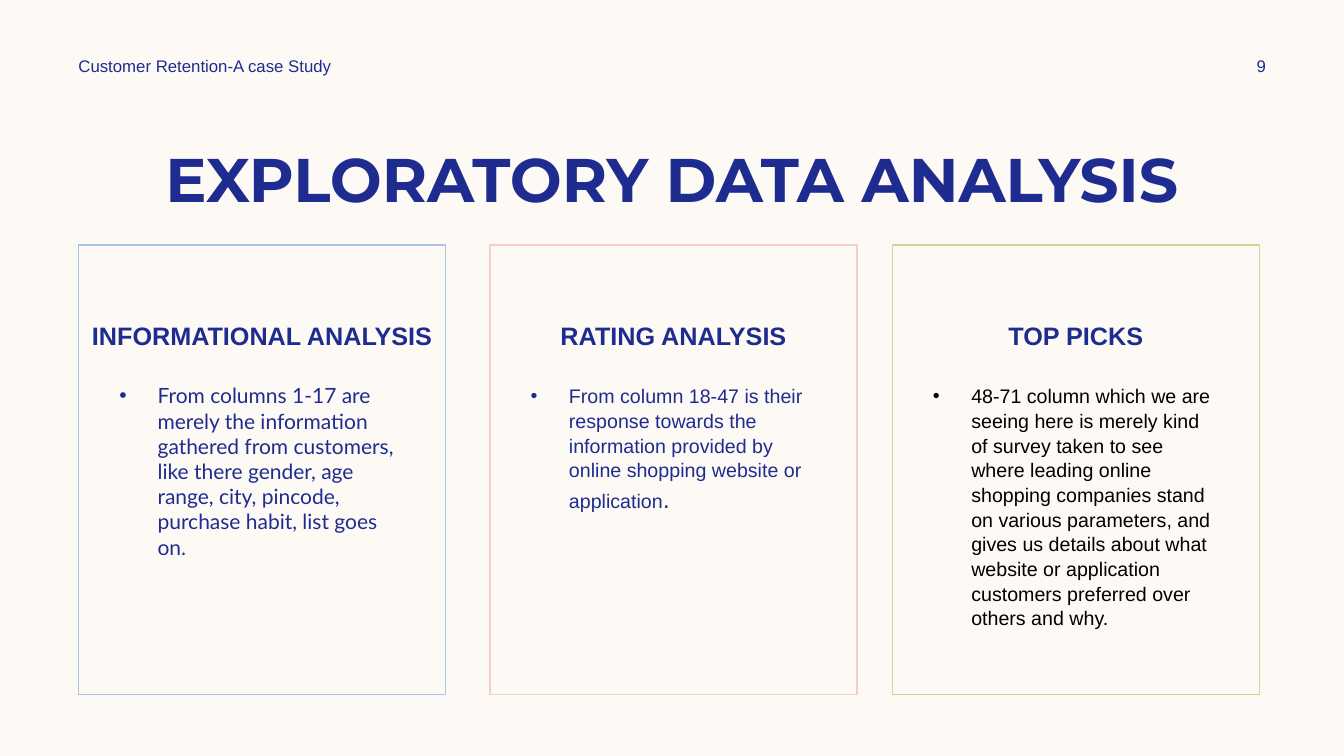
import pptx
import pptx.dml.color
import pptx.enum.shapes
import pptx.enum.text
import pptx.oxml
import pptx.util
from pptx.util import Inches

# Content
COLORS = {"background": "FDFAF6", "navy": "1F2C8F", "black": "000000",
          "blue": "AAC3E8", "pink": "F5CDCE", "olive": "D2D592"}
TITLE = "EXPLORATORY DATA ANALYSIS"
HEADER = "Customer Retention-A case Study"
PAGE_NUMBER = "9"
CARDS = [
    {"left": 0.78, "border": "blue", "heading": "INFORMATIONAL ANALYSIS", "spacing": 1.0,
     "runs": [("From columns 1-17 are merely the information gathered from customers, "
               "like there gender, age range, city, pincode, purchase habit, list goes on.",
               {"size": 15, "name": "Lato"})]},
    {"left": 4.86, "border": "pink", "heading": "RATING ANALYSIS", "spacing": 1.05,
     "runs": [("From column 18-47 is their response towards the information provided by "
               "online shopping website or application", {"size": 14}),
              (".", {"size": 18})]},
    {"left": 8.85, "border": "olive", "heading": "TOP PICKS", "spacing": 1.05,
     "runs": [("48-71 column which we are seeing here is merely kind of survey taken to see "
               "where leading online shopping companies stand on various parameters, and "
               "gives us details about what website or application customers preferred over "
               "others and why.", {"size": 14, "color": "black"})]},
]

# Layout in inches
CARD_TOP, CARD_WIDTH, CARD_HEIGHT = 2.43, 3.64, 4.46
BODY_TOP, BODY_WIDTH, BODY_HEIGHT = 3.75, 3.03, 2.98
BODY_INSET = (CARD_WIDTH - BODY_WIDTH) / 2
BULLET_INDENT = 0.38

ALIGN = pptx.enum.text.PP_ALIGN
ANCHOR = pptx.enum.text.MSO_ANCHOR


def rgb(name):
    return pptx.dml.color.RGBColor.from_string(COLORS[name])


def add_run(paragraph, text, size, name="Arial", color="navy", bold=False):
    run = paragraph.add_run()
    run.text = text
    values = {"size": pptx.util.Pt(size), "name": name, "bold": bold}
    for attribute, value in values.items():
        setattr(run.font, attribute, value)
    run.font.color.rgb = rgb(color)


def set_frame(shape, anchor=ANCHOR.TOP, top=0.05):
    values = {"word_wrap": True, "vertical_anchor": anchor, "margin_left": Inches(0.1),
              "margin_right": Inches(0.1), "margin_top": Inches(top),
              "margin_bottom": Inches(0.05)}
    for attribute, value in values.items():
        setattr(shape.text_frame, attribute, value)
    return shape.text_frame.paragraphs[0]


def add_text(slide, box, text, align, anchor, **font):
    textbox = slide.shapes.add_textbox(*map(Inches, box))
    paragraph = set_frame(textbox, anchor)
    paragraph.alignment = align
    add_run(paragraph, text, **font)


def add_bullet(paragraph):
    properties = paragraph._p.get_or_add_pPr()
    properties.set("marL", str(Inches(BULLET_INDENT)))
    properties.set("indent", str(-Inches(BULLET_INDENT)))
    for tag, attribute, value in (("buFont", "typeface", "Arial"), ("buChar", "char", "•")):
        element = pptx.oxml.xmlchemy.OxmlElement("a:" + tag)
        element.set(attribute, value)
        properties.append(element)


def add_card(slide, card):
    # Bordered frame with its heading
    frame = slide.shapes.add_shape(
        pptx.enum.shapes.MSO_SHAPE.RECTANGLE,
        *map(Inches, (card["left"], CARD_TOP, CARD_WIDTH, CARD_HEIGHT)))
    frame.shadow.inherit = False
    frame.fill.background()
    frame.line.color.rgb = rgb(card["border"])
    frame.line.width = pptx.util.Pt(1)
    heading = set_frame(frame, top=0.75)
    heading.alignment = ALIGN.CENTER
    add_run(heading, card["heading"], 18, bold=True)

    # Bulleted description
    body = slide.shapes.add_textbox(
        *map(Inches, (card["left"] + BODY_INSET, BODY_TOP, BODY_WIDTH, BODY_HEIGHT)))
    paragraph = set_frame(body)
    paragraph.line_spacing = card["spacing"]
    paragraph.space_before = pptx.util.Pt(3.6)
    add_bullet(paragraph)
    for text, font in card["runs"]:
        add_run(paragraph, text, **font)


def main():
    presentation = pptx.Presentation()
    presentation.slide_width = Inches(13.33)
    presentation.slide_height = Inches(7.5)
    slide = presentation.slides.add_slide(presentation.slide_layouts[6])
    slide.background.fill.solid()
    slide.background.fill.fore_color.rgb = rgb("background")

    # Title, header and page number
    add_text(slide, (0.83, 1.35, 11.67, 0.84), TITLE, ALIGN.CENTER, ANCHOR.TOP,
             size=44, name="Montserrat", bold=True)
    add_text(slide, (0.68, 0.5, 3.5, 0.3), HEADER, ALIGN.LEFT, ANCHOR.MIDDLE, size=12)
    add_text(slide, (11.97, 0.5, 1.08, 0.3), PAGE_NUMBER, ALIGN.CENTER, ANCHOR.MIDDLE, size=12)

    for card in CARDS:
        add_card(slide, card)
    presentation.save("out.pptx")


if __name__ == "__main__":
    main()
